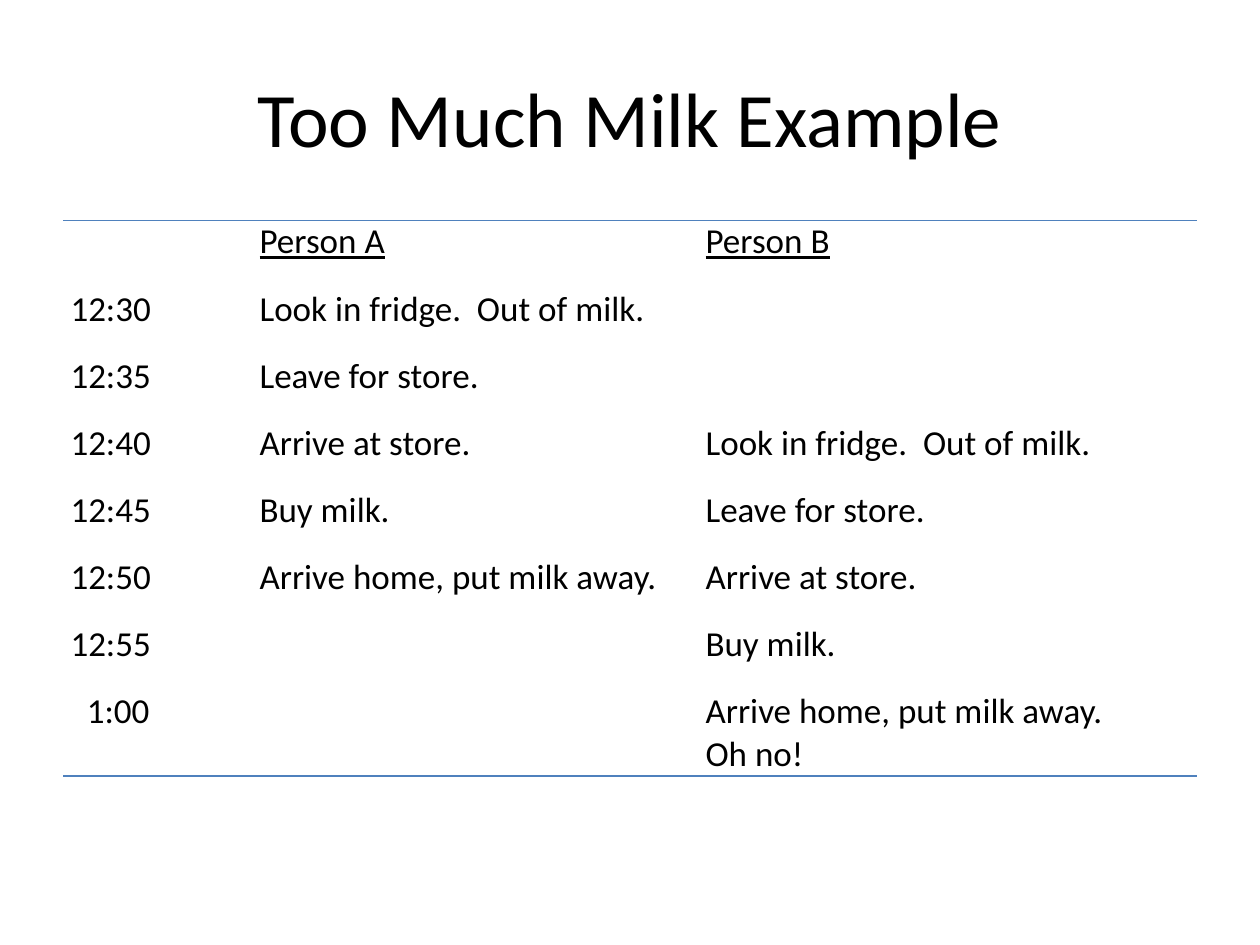
from pptx import Presentation
from pptx.dml.color import RGBColor as RGB
from pptx.enum.text import MSO_ANCHOR as Anchor, PP_ALIGN as Align
from pptx.oxml import parse_xml
from pptx.oxml.ns import nsdecls, qn
from pptx.util import Inches, Pt

WIDE, HIGH = 10, 7.5
EDGE, TOP = 0.05 * WIDE, 1.75
COLS = [1.5, 3.54, 3.96]
ROW, LAST = 3.73 / 7, 0.58
PLAIN = "{2D5ABB26-0587-4C30-8999-92F81FD0307C}"
HUES = {"ink": "000000", "rule": "4F81BD"}

ROWS = [
    ("", "Person A", "Person B"),
    ("12:30", "Look in fridge.  Out of milk.", ""),
    ("12:35", "Leave for store.", ""),
    ("12:40", "Arrive at store.", "Look in fridge.  Out of milk."),
    ("12:45", "Buy milk.", "Leave for store."),
    ("12:50", "Arrive home, put milk away.", "Arrive at store."),
    ("12:55", "", "Buy milk."),
    ("1:00", "", "Arrive home, put milk away.\nOh no!"),
]


def write(frame, text, size=20, align=Align.LEFT, line=False, indent=0):
    frame.text = text
    for para in frame.paragraphs:
        para.alignment = align
        if indent:
            para._p.get_or_add_pPr().set("marL", str(Inches(indent)))
        for run in para.runs:
            font = run.font
            font.name, font.size, font.underline = "Calibri", Pt(size), line
            font.color.rgb = RGB.from_string(HUES["ink"])


def rule(cell, side):
    """Draw a line on one side of a cell: T or B."""
    cell._tc.get_or_add_tcPr().insert(0, parse_xml(
        f'<a:ln{side} {nsdecls("a")} w="{Pt(1)}"><a:solidFill>'
        f'<a:srgbClr val="{HUES["rule"]}"/></a:solidFill></a:ln{side}>'))


def head(slide, text):
    title = slide.shapes.title
    title.left, title.top = Inches(EDGE), Inches(0.04 * HIGH)
    title.width, title.height = Inches(WIDE - 2 * EDGE), Inches(HIGH / 6)
    title.text_frame.vertical_anchor = Anchor.MIDDLE
    write(title.text_frame, text, size=44, align=Align.CENTER)


def fill(cell, text, **form):
    cell.fill.background()
    if text:
        cell.margin_left = cell.margin_right = Inches(0.06)
        cell.margin_top = cell.margin_bottom = 0
        write(cell.text_frame, text, **form)


def grid(slide, rows):
    end = len(rows) - 1
    frame = slide.shapes.add_table(
        len(rows), len(COLS), Inches(EDGE), Inches(TOP),
        Inches(sum(COLS)), Inches(ROW * end + LAST))
    table = frame.table
    table.first_row = table.horz_banding = False
    next(frame.element.iter(qn("a:tableStyleId"))).text = PLAIN
    for col, width in zip(table.columns, COLS):
        col.width = Inches(width)
    for r, row in enumerate(rows):
        table.rows[r].height = Inches(LAST if r == end else ROW)
        for c, text in enumerate(row):
            cell = table.cell(r, c)
            short = c == 0 and len(text) == 4
            fill(cell, text, line=r == 0, indent=0.13 if short else 0)
            if r in (0, end):
                rule(cell, "B" if r else "T")


def main():
    deck = Presentation()
    deck.slide_width, deck.slide_height = Inches(WIDE), Inches(HIGH)
    slide = deck.slides.add_slide(deck.slide_layouts[5])
    head(slide, "Too Much Milk Example")
    grid(slide, ROWS)
    deck.save("out.pptx")


if __name__ == "__main__":
    main()
